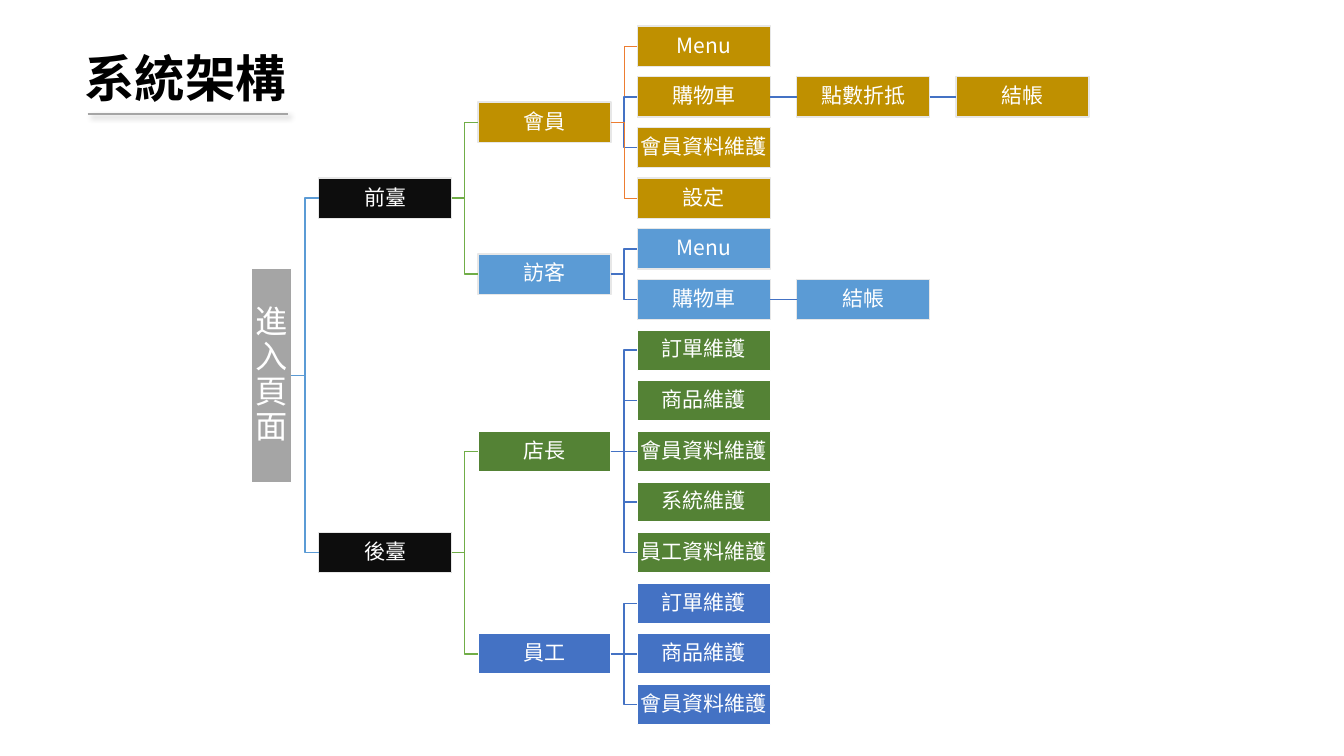
import dataclasses
import itertools

import lxml.etree
import pptx
import pptx.dml.color
import pptx.enum.shapes
import pptx.enum.text
import pptx.oxml
import pptx.oxml.ns
import pptx.util

Inches = pptx.util.Inches
FONT = "Noto Sans CJK SC"
COLORS = {
    "black": "0D0D0D", "gold": "BF9000", "sky": "5B9BD5", "green": "548235",
    "blue": "4472C4", "gray": "A5A5A5", "white": "FFFFFF", "border": "E7E7E7",
    "lime": "70AD47", "orange": "ED7D31", "title": "000000",
}
BORDERED = ("black", "gold", "sky")

# Tree layout, in inches
BOX_WIDTH, BOX_HEIGHT = 1.32, 0.4
ROOT_LEFT, ROOT_WIDTH, ROOT_HEIGHT = 2.49, 0.4, 2.12
FIRST_COLUMN, COLUMN_PITCH = 3.16, 1.58
FIRST_ROW, LAST_ROW, ROW_COUNT = 0.46, 6.99, 14
ROW_PITCH = (LAST_ROW - FIRST_ROW) / (ROW_COUNT - 1)
LINK_COLORS = ("sky", "lime", "blue", "blue", "blue")  # by depth of the parent


@dataclasses.dataclass
class Node:
    text: str
    fill: str = ""  # empty: same fill as the parent
    children: tuple = ()
    accent: bool = False  # thin orange link from the parent


SITE_MAP = Node("進入頁面", "gray", (
    Node("前臺", "black", (
        Node("會員", "gold", (
            Node("Menu", accent=True),
            Node("購物車", children=(
                Node("點數折抵", children=(Node("結帳"),)),)),
            Node("會員資料維護"),
            Node("設定", accent=True))),
        Node("訪客", "sky", (
            Node("Menu"),
            Node("購物車", children=(Node("結帳"),)))))),
    Node("後臺", "black", (
        Node("店長", "green", (
            Node("訂單維護"), Node("商品維護"), Node("會員資料維護"),
            Node("系統維護"), Node("員工資料維護"))),
        Node("員工", "blue", (
            Node("訂單維護"), Node("商品維護"), Node("會員資料維護")))))))


def rgb(name):
    return pptx.dml.color.RGBColor.from_string(COLORS[name])


def write_text(frame, text, size, color="white", bold=False, centered=True,
               spacing=None, margin=None):
    paragraph = frame.paragraphs[0]
    if centered:
        paragraph.alignment = pptx.enum.text.PP_ALIGN.CENTER
        frame.vertical_anchor = pptx.enum.text.MSO_ANCHOR.MIDDLE
    if spacing:
        paragraph.line_spacing = spacing
    if margin is not None:
        frame.margin_left = frame.margin_right = Inches(margin)
        frame.margin_top = frame.margin_bottom = Inches(margin)
    run = paragraph.add_run()
    run.text = text
    run.font.size = pptx.util.Pt(size)
    run.font.bold = bold
    run.font.name = FONT
    run.font.color.rgb = rgb(color)
    east_asian = lxml.etree.SubElement(
        run.font._element, pptx.oxml.ns.qn("a:ea"))
    east_asian.set("typeface", FONT)


def add_box(slide, text, fill, left, center, width, height, size, margin):
    shape = slide.shapes.add_shape(
        pptx.enum.shapes.MSO_SHAPE.RECTANGLE, Inches(left),
        Inches(center - height / 2), Inches(width), Inches(height))
    shape.shadow.inherit = False
    shape.fill.solid()
    shape.fill.fore_color.rgb = rgb(fill)
    shape.line.color.rgb = rgb("border" if fill in BORDERED else "white")
    shape.line.width = pptx.util.Pt(1)
    shape.text_frame.word_wrap = True
    write_text(shape.text_frame, text, size, spacing=0.9, margin=margin)
    return shape


def add_line(slide, kind, start, end, color, width):
    line = slide.shapes.add_connector(
        kind, Inches(start[0]), Inches(start[1]), Inches(end[0]), Inches(end[1]))
    line.line.color.rgb = rgb(color)
    line.line.width = pptx.util.Pt(width)
    effects = lxml.etree.SubElement(
        line._element.spPr, pptx.oxml.ns.qn("a:effectLst"))
    return line, effects


def add_link(slide, parent, parent_box, child, child_box, depth):
    start = (parent_box.left + parent_box.width,
             parent_box.top + parent_box.height // 2)
    end = (child_box.left, child_box.top + child_box.height // 2)
    straight = abs(start[1] - end[1]) < Inches(0.02)
    kinds = pptx.enum.shapes.MSO_CONNECTOR
    link, _ = add_line(
        slide, kinds.STRAIGHT if straight else kinds.ELBOW,
        [value / Inches(1) for value in start],
        [value / Inches(1) for value in end],
        "orange" if child.accent else LINK_COLORS[depth],
        0.5 if child.accent else 1)
    link.begin_connect(parent_box, 3)
    link.end_connect(child_box, 1)


def add_branch(slide, node, rows, depth=0, inherited=""):
    """Draw a node after its children; return its box and vertical centre."""
    fill = node.fill or inherited
    branches = [add_branch(slide, child, rows, depth + 1, fill)
                for child in node.children]
    if branches:
        center = (branches[0][1] + branches[-1][1]) / 2
    else:
        center = FIRST_ROW + next(rows) * ROW_PITCH
    if depth == 0:
        box = add_box(slide, node.text, fill, ROOT_LEFT, center,
                      ROOT_WIDTH, ROOT_HEIGHT, size=23, margin=0.02)
    else:
        left = FIRST_COLUMN + (depth - 1) * COLUMN_PITCH
        box = add_box(slide, node.text, fill, left, center,
                      BOX_WIDTH, BOX_HEIGHT, size=15, margin=0.01)
    for child, (child_box, _) in zip(node.children, branches):
        add_link(slide, node, box, child, child_box, depth)
    return box, center


def add_title(slide, text):
    box = slide.shapes.add_textbox(
        Inches(0.74), Inches(0.42), Inches(2.22), Inches(0.71))
    box.text_frame.word_wrap = False
    box.text_frame.auto_size = pptx.enum.text.MSO_AUTO_SIZE.SHAPE_TO_FIT_TEXT
    write_text(box.text_frame, text, 36, "title", bold=True, centered=False)

    # Underline with a soft shadow
    _, effects = add_line(slide, pptx.enum.shapes.MSO_CONNECTOR.STRAIGHT,
                          (0.87, 1.13), (2.86, 1.13), "gray", 1)
    effects.append(pptx.oxml.parse_xml(
        f'<a:outerShdw {pptx.oxml.ns.nsdecls("a")} blurRad="{pptx.util.Pt(4)}" '
        f'dist="{pptx.util.Pt(3)}" dir="{45 * 60000}" algn="tl" '
        f'rotWithShape="0"><a:srgbClr val="{COLORS["title"]}">'
        '<a:alpha val="40000"/></a:srgbClr></a:outerShdw>'))


def main():
    presentation = pptx.Presentation()
    presentation.slide_width = Inches(13.33)
    presentation.slide_height = Inches(7.5)
    slide = presentation.slides.add_slide(presentation.slide_layouts[6])
    add_branch(slide, SITE_MAP, itertools.count())
    add_title(slide, "系統架構")
    presentation.save("out.pptx")


main()
